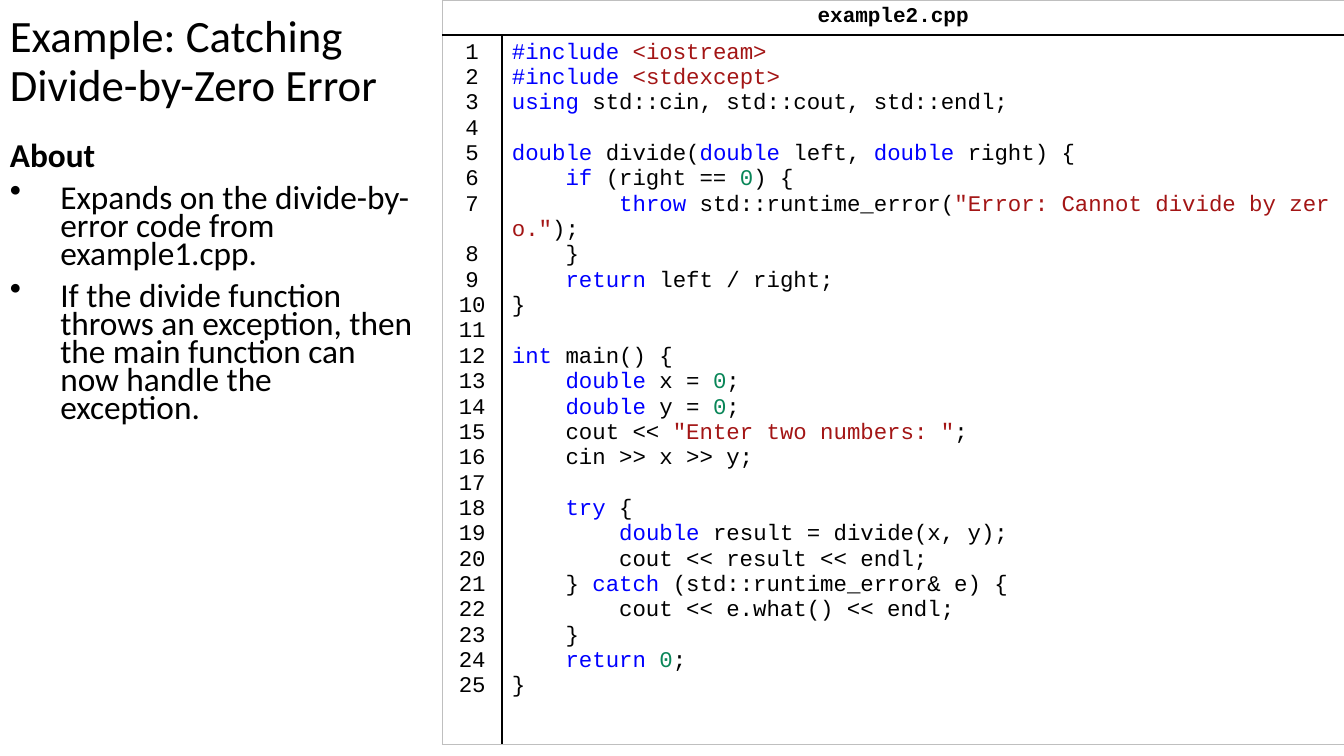
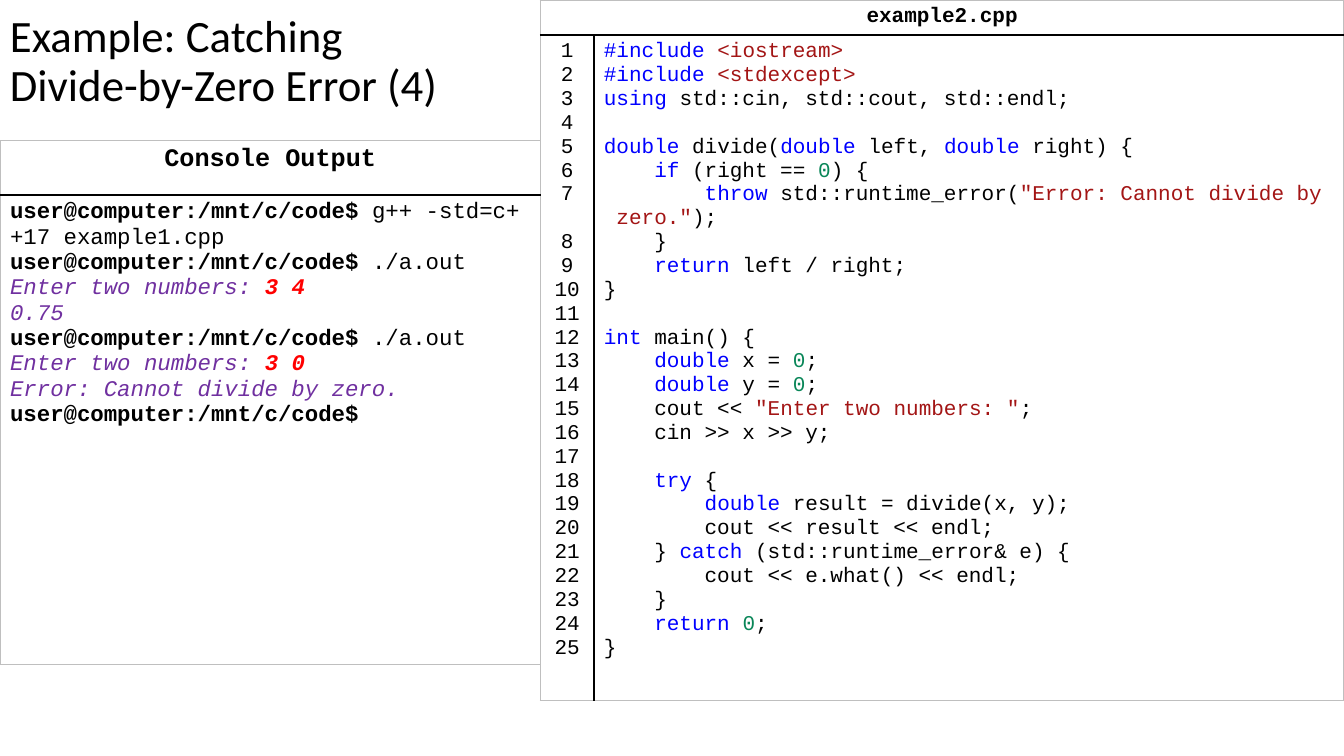
from dataclasses import dataclass

from lxml import etree
from pptx import Presentation
from pptx.dml.color import RGBColor
from pptx.enum.text import MSO_ANCHOR, PP_ALIGN
from pptx.oxml.ns import qn
from pptx.util import Pt

CENTER, LEFT = PP_ALIGN.CENTER, PP_ALIGN.LEFT
TOP, BOTTOM = MSO_ANCHOR.TOP, MSO_ANCHOR.BOTTOM


@dataclass(frozen=True)
class Theme:
    sans: str = "Calibri"
    mono: str = "Courier New"
    black: str = "000000"
    keyword: str = "0000FF"
    string: str = "A31515"
    number: str = "098658"
    output: str = "7030A0"
    typed: str = "FF0000"
    frame: str = "BFBFBF"
    title: float = 32
    body: float = 23.8
    file_name: float = 15
    console_name: float = 18
    code: float = 16
    code_small: float = 15
    frame_width: float = 0.75
    rule_width: float = 1.5


T = Theme()

TITLE = "Example: Catching Divide-by-Zero Error"
TITLE_4 = "Example: Catching \nDivide-by-Zero Error (4)"
ABOUT = "About"
POINTS = [
    "Expands on the divide-by-error code from example1.cpp.",
    "If the divide function throws an exception, then the main function "
    "can now handle the exception.",
]
FILE_NAME = "example2.cpp"
CODE = [
    "~#include~ ~<iostream>~",
    "~#include~ ~<stdexcept>~",
    "~using~ std::cin, std::cout, std::endl;",
    "\n~double~ divide(~double~ left, ~double~ right) {",
    "    ~if~ (right == ~0~) {",
    '        ~throw~ std::runtime_error(~"Error: Cannot divide by zero."~);',
    "    }",
    "    ~return~ left / right;",
    "}",
    "\n~int~ main() {",
    "    ~double~ x = ~0~;",
    "    ~double~ y = ~0~;",
    '    cout << ~"Enter two numbers: "~;',
    "    cin >> x >> y;",
    "\n    ~try~ {",
    "        ~double~ result = divide(x, y);",
    "        cout << result << endl;",
    "    } ~catch~ (std::runtime_error& e) {",
    "        cout << e.what() << endl;",
    "    }",
    "    ~return~ ~0~;",
    "}",
]
LINE_COUNT = 25
WRAPPED_LINE = 7
CONSOLE_NAME = "Console Output"
PROMPT = ("user@computer:/mnt/c/code$", T.black, True, False)


def command(text):
    return [PROMPT, (text, T.black, False, False)]


def reply(text, typed=""):
    return [(text, T.output, False, True), (typed, T.typed, True, True)]


CONSOLE = [
    command(" g++ -std=c++17 example1.cpp"),
    command(" ./a.out"),
    reply("Enter two numbers: ", "3 4"),
    reply("0.75"),
    command(" ./a.out"),
    reply("Enter two numbers: ", "3 0"),
    reply("Error: Cannot divide by zero."),
    [PROMPT],
]


def plain(text, bold=False):
    return [(text, T.black, bold, False)]


def token_color(token):
    if token[0] in '"<':
        return T.string
    return T.number if token.isdigit() else T.keyword


def highlight(line):
    parts = line.replace(" ", "\u00a0").split("~")
    return [(part, token_color(part) if i % 2 else T.black, False, False)
            for i, part in enumerate(parts) if part]


def write(tf, lines, font, size, align=LEFT):
    for i, line in enumerate(lines):
        p = tf.add_paragraph() if i else tf.paragraphs[0]
        p.alignment = align
        p.font.name, p.font.size = font, Pt(size)
        for text, color, bold, italic in line:
            for j, piece in enumerate(text.split("\n")):
                if j:
                    p.add_line_break()
                if piece:
                    r = p.add_run()
                    r.text = piece
                    r.font.color.rgb = RGBColor.from_string(color)
                    r.font.bold, r.font.italic = bold, italic


def add_text(s, box, lines, size, spacing, anchor=TOP):
    tf = s.shapes.add_textbox(*map(Pt, box)).text_frame
    tf.word_wrap = True
    tf.vertical_anchor = anchor
    write(tf, lines, T.sans, size)
    for p in tf.paragraphs:
        p.line_spacing = spacing
    return tf


def add_title(s, text, width):
    add_text(s, (0, 0, width, 82.8), [plain(text)], T.title, 0.9, BOTTOM)


def add_about(s):
    lines = [plain(ABOUT, True)] + [plain(point) for point in POINTS]
    tf = add_text(s, (0, 100, 306, 222), lines, T.body, 0.7)
    for p in tf.paragraphs:
        p.space_before = Pt(10)
    for p in tf.paragraphs[1:]:
        pPr = p._p.get_or_add_pPr()
        pPr.set("marL", str(Pt(36)))
        pPr.set("indent", str(Pt(-36)))
        bullet = etree.Element(qn("a:buChar"), char="\u2022")
        pPr.insert_element_before(bullet, "a:tabLst", "a:defRPr", "a:extLst")


def set_borders(cell, black_sides):
    cell.fill.background()
    tcPr = cell._tc.get_or_add_tcPr()
    for i, side in enumerate("LRTB"):
        ruled = side in black_sides
        width = T.rule_width if ruled else T.frame_width
        ln = etree.Element(qn("a:ln" + side), w=str(Pt(width)))
        fill = etree.SubElement(ln, qn("a:solidFill"))
        etree.SubElement(fill, qn("a:srgbClr"), val=T.black if ruled else T.frame)
        tcPr.insert(i, ln)


def add_panel(s, left, top, widths, heights, name, name_size):
    last = len(widths) - 1
    table = s.shapes.add_table(2, len(widths), Pt(left), Pt(top),
                               Pt(sum(widths)), Pt(sum(heights))).table
    table.first_row = table.horz_banding = False
    for row, height in zip(table.rows, heights):
        row.height = Pt(height)
    for i, width in enumerate(widths):
        table.columns[i].width = Pt(width)
        set_borders(table.cell(0, i), "B")
        set_borders(table.cell(1, i), "T" + "L" * (i > 0) + "R" * (i < last))
    if last:
        table.cell(0, 0).merge(table.cell(0, last))
    write(table.cell(0, 0).text_frame, [plain(name, True)], T.mono, name_size, CENTER)
    return table


def add_code(s, left, number_width, body_height, size):
    widths = (number_width, prs.slide_width.pt - left - number_width)
    table = add_panel(s, left, 0, widths, (24.2, body_height), FILE_NAME, T.file_name)
    numbers = [plain("\n" * (n == WRAPPED_LINE + 1) + str(n))
               for n in range(1, LINE_COUNT + 1)]
    write(table.cell(1, 0).text_frame, numbers, T.mono, size, CENTER)
    write(table.cell(1, 1).text_frame, map(highlight, CODE), T.mono, size)


def add_console(s):
    table = add_panel(s, 0, 100.5, (386,), (38.8, 335), CONSOLE_NAME, T.console_name)
    write(table.cell(1, 0).text_frame, CONSOLE, T.mono, T.code)


prs = Presentation()
prs.slide_width, prs.slide_height = Pt(960), Pt(540)
blank = prs.slide_layouts[6]

s = prs.slides.add_slide(blank)
add_title(s, TITLE, 316)
add_about(s)
add_code(s, 316, 42.5, 478, T.code)

s = prs.slides.add_slide(blank)
add_title(s, TITLE_4, 367)
add_code(s, 386, 38.2, 450, T.code_small)
add_console(s)

prs.save("out.pptx")
